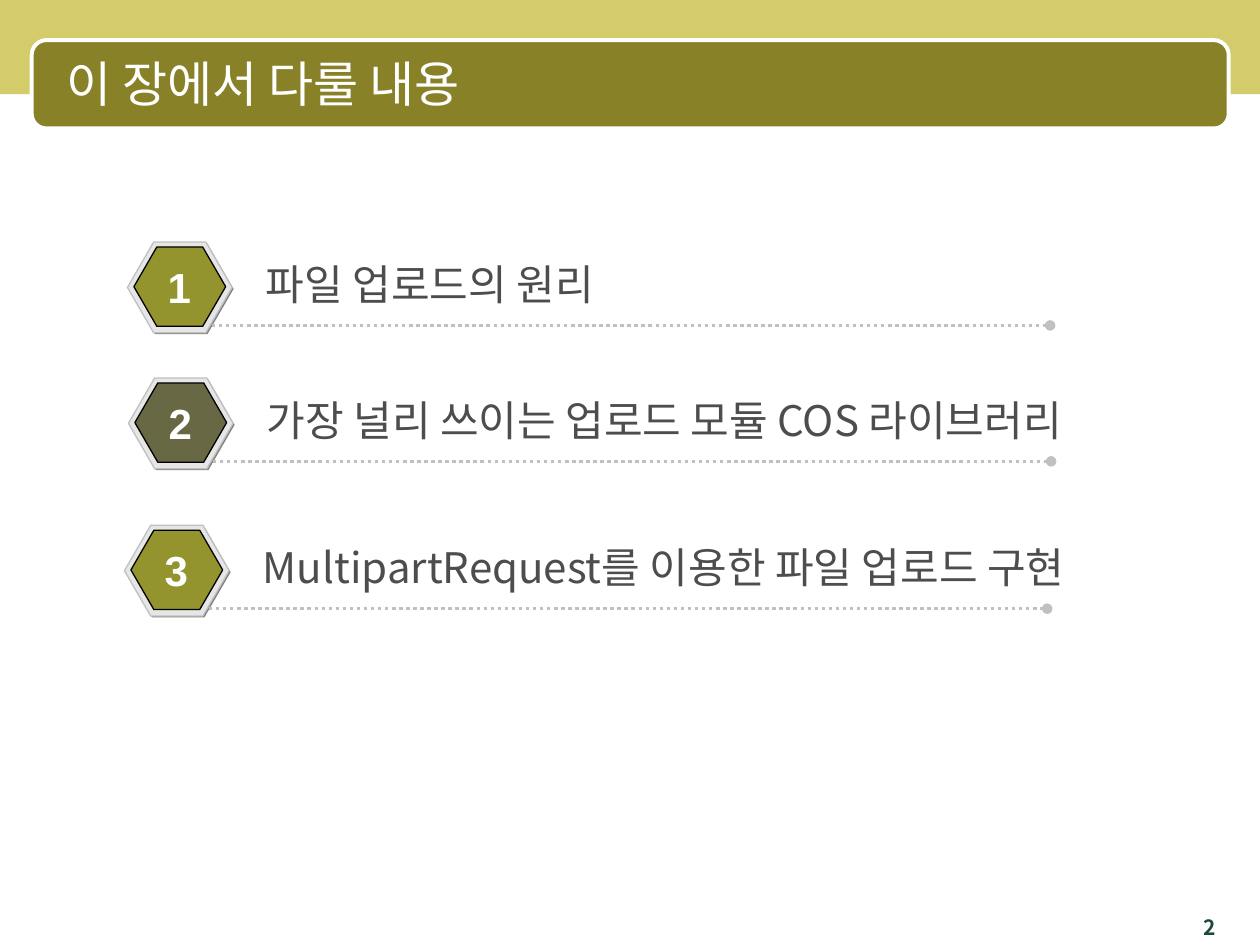
"""Build the chapter overview slide with three numbered topics."""
from lxml import etree
from pptx import Presentation
from pptx.dml.color import RGBColor
from pptx.enum.dml import MSO_LINE
from pptx.enum.shapes import MSO_CONNECTOR, MSO_SHAPE
from pptx.enum.text import MSO_ANCHOR, PP_ALIGN
from pptx.oxml.ns import qn
from pptx.util import Cm, Pt

RECT, ROUNDED, HEXAGON = MSO_SHAPE.RECTANGLE, MSO_SHAPE.ROUNDED_RECTANGLE, MSO_SHAPE.HEXAGON
STRAIGHT, DOTTED = MSO_CONNECTOR.STRAIGHT, MSO_LINE.ROUND_DOT
LEFT, CENTER, RIGHT = PP_ALIGN.LEFT, PP_ALIGN.CENTER, PP_ALIGN.RIGHT
TOP, MIDDLE = MSO_ANCHOR.TOP, MSO_ANCHOR.MIDDLE
KOREAN, LATIN = "Noto Sans CJK KR", "Arial"
WHITE, SILVER, OLIVE = "FFFFFF", "C0C0C0", "808000"

TOPICS = [
    (2.57, 4.88, 15.88, "파일 업로드의 원리", OLIVE, 80),
    (2.59, 7.62, 19.46, "가장 널리 쓰이는 업로드 모듈 COS 라이브러리", "333300", 70),
    (2.51, 10.59, 19.28, "MultipartRequest를 이용한 파일 업로드 구현", OLIVE, 80),
]


def rgb(color):
    """Turn a hex string into a colour."""
    return RGBColor.from_string(color)


def add_block(slide, kind, x, y, w, h, fill, line=None, weight=0.75):
    """Add a filled preset shape with an optional outline."""
    s = slide.shapes.add_shape(kind, Cm(x), Cm(y), Cm(w), Cm(h))
    s.shadow.inherit = False
    s.fill.solid()
    s.fill.fore_color.rgb = rgb(fill)
    if line:
        s.line.color.rgb = rgb(line)
        s.line.width = Pt(weight)
    else:
        s.line.fill.background()
    return s


def add_hexagon(slide, x, y, w, h, fill, line=None, opacity=100):
    """Add a regular hexagon, see-through when opacity is below 100."""
    s = add_block(slide, HEXAGON, x, y, w, h, fill, line)
    s.adjustments[0] = 0.289
    if opacity < 100:
        color = s.fill._xPr.find(qn("a:solidFill"))[0]
        etree.SubElement(color, qn("a:alpha"), val=str(opacity * 1000))


def add_text(slide, x, y, w, h, text, size, color, font=KOREAN, bold=False,
             align=LEFT, anchor=TOP, wrap=True, inset=0.25):
    """Add a one-paragraph text box."""
    tf = slide.shapes.add_textbox(Cm(x), Cm(y), Cm(w), Cm(h)).text_frame
    tf.word_wrap = wrap
    tf.vertical_anchor = anchor
    tf.margin_left = Cm(inset)
    tf.text = text
    p = tf.paragraphs[0]
    p.alignment = align
    r = p.runs[0]
    r.font.name = font
    r.font.size = Pt(size)
    r.font.bold = bold
    r.font.color.rgb = rgb(color)
    etree.SubElement(r.font._element, qn("a:ea"), typeface=font)


def add_dotted_line(slide, x, y, length):
    """Add a horizontal dotted line that ends in a dot."""
    s = slide.shapes.add_connector(STRAIGHT, Cm(x), Cm(y), Cm(x + length), Cm(y))
    s.line.color.rgb = rgb(SILVER)
    s.line.width = Pt(2)
    s.line.dash_style = DOTTED
    etree.SubElement(s.line._get_or_add_ln(), qn("a:tailEnd"), type="oval")
    etree.SubElement(s._element.spPr, qn("a:effectLst"))


def add_topic(slide, number, x, y, width, text, color, opacity):
    """Add a numbered hexagon badge with its underlined topic."""
    add_hexagon(slide, x + 0.03, y + 0.03, 2.11, 1.83, "808080")
    add_hexagon(slide, x, y, 2.11, 1.83, "E6E6E6", SILVER)
    add_hexagon(slide, x + 0.13, y + 0.1, 1.85, 1.6, color, "000000", opacity)
    add_dotted_line(slide, x + 1.7, y + 1.68, 16.9)
    add_text(slide, x + 2.54, y + 0.2, width, 1.27, text, 24, "4D4D4D")
    add_text(slide, x + 0.56, y + 0.26, 0.97, 1.27, str(number), 24, WHITE,
             font=LATIN, bold=True, align=CENTER, wrap=False)


def add_header(slide, title):
    """Add the top band and the rounded title bar."""
    add_block(slide, RECT, -0.02, 0, 25.44, 1.9, "D4CC6A")
    add_block(slide, ROUNDED, 0.64, 0.81, 24.13, 1.78, "888128", WHITE, 2.25)
    add_text(slide, 0.84, 0.89, 23.7, 1.57, title, 28, WHITE, anchor=MIDDLE, inset=0.5)


def main():
    """Build and save the slide."""
    prs = Presentation()
    prs.slide_width, prs.slide_height = Cm(25.4), Cm(19.05)
    slide = prs.slides.add_slide(prs.slide_layouts[6])
    add_header(slide, "이 장에서 다룰 내용")
    add_text(slide, 22.43, 18.31, 2.34, 0.74, "2", 12, "1D4940", bold=True, align=RIGHT)
    for number, topic in enumerate(TOPICS, 1):
        add_topic(slide, number, *topic)
    prs.save("out.pptx")


if __name__ == "__main__":
    main()
